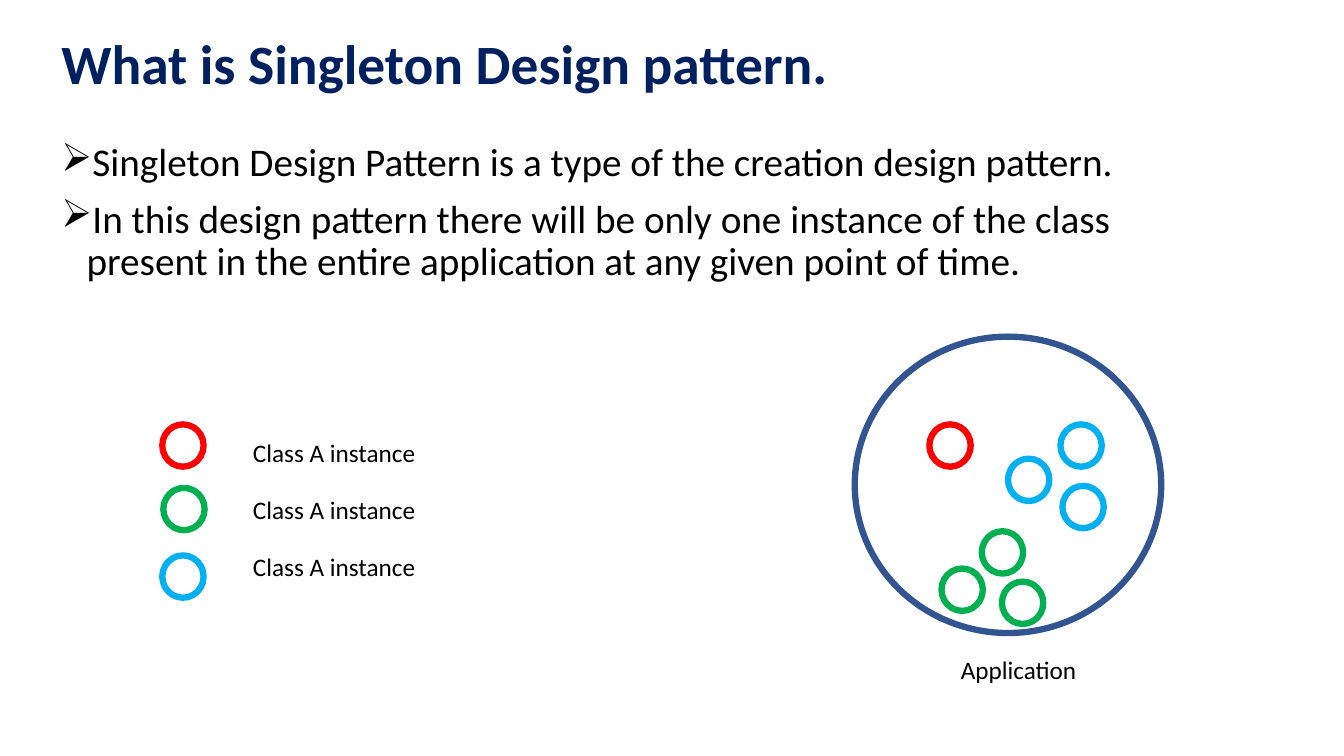
from lxml.etree import SubElement
from pptx import Presentation
from pptx.dml.color import RGBColor
from pptx.enum.shapes import MSO_SHAPE
from pptx.enum.text import MSO_ANCHOR, PP_ALIGN
from pptx.oxml.ns import qn
from pptx.util import Inches, Pt

COLS, ROWS = 80, 45
RED, GREEN, BLUE = "FF0000", "00B050", "00B0F0"


def paint(code):
    return RGBColor.from_string(code)


class Board:
    font = "Calibri"
    ink = "000000"
    pen = 4.5
    dot_size = (2.46, 2.52)

    def __init__(self, deck):
        self.deck = deck
        self.slide = deck.slides.add_slide(deck.slide_layouts[6])

    def place(self, left, top, width, height):
        col, row = self.deck.slide_width / COLS, self.deck.slide_height / ROWS
        return [round(n) for n in (left * col, top * row, width * col, height * row)]

    def text(self, box, lines, size, color=ink, bold=False, anchor=MSO_ANCHOR.TOP,
             bullet=None, **format):
        frame = self.slide.shapes.add_textbox(*self.place(*box)).text_frame
        frame.word_wrap = True
        frame.vertical_anchor = anchor
        frame.text = "\n".join(lines)
        for para in frame.paragraphs:
            for name, value in format.items():
                setattr(para, name, value)
            style = {"name": self.font, "size": Pt(size), "bold": bold}
            for name, value in style.items():
                setattr(para.runs[0].font, name, value)
            para.runs[0].font.color.rgb = paint(color)
            if bullet:
                self.bullet(para, bullet)

    def bullet(self, para, mark):
        props = para._p.get_or_add_pPr()
        props.set("marL", str(Inches(0.25)))
        props.set("indent", str(-Inches(0.25)))
        SubElement(props, qn("a:buChar")).set("char", mark)

    def label(self, box, words):
        self.text(box, [words], 18, alignment=PP_ALIGN.CENTER)

    def ring(self, box, color):
        ring = self.slide.shapes.add_shape(MSO_SHAPE.OVAL, *self.place(*box))
        ring.shadow.inherit = False
        ring.fill.background()
        ring.line.color.rgb = paint(color)
        ring.line.width = Pt(self.pen)

    def dot(self, left, top, color):
        self.ring((left, top, *self.dot_size), color)


def main():
    deck = Presentation()
    deck.slide_width, deck.slide_height = Inches(13.33), Inches(7.5)
    board = Board(deck)

    board.text((3.06, 1.68, 69, 4.5), ["What is Singleton Design pattern."], 39.6,
               "002060", True, MSO_ANCHOR.MIDDLE, line_spacing=0.9)
    board.text((3.06, 8.22, 69, 11.82), [
        "Singleton Design Pattern is a type of the creation design pattern.",
        "In this design pattern there will be only one instance of the class "
        "present in the entire application at any given point of time.",
    ], 28, bullet="➢", line_spacing=0.9, space_before=Pt(10))

    board.ring((50.88, 20.04, 18.24, 17.64), "325491")
    groups = {
        RED: [(55.32, 25.26)],
        GREEN: [(58.44, 31.62), (56.04, 33.84), (59.64, 34.62)],
        BLUE: [(63.12, 25.26), (63.24, 28.92), (60, 27.3)],
    }
    for color, spots in groups.items():
        for left, top in spots:
            board.dot(left, top, color)
    board.label((56.04, 38.64, 9.18, 2.4), "Application")

    legend = [(9.66, 25.26, RED), (9.72, 29.04, GREEN), (9.66, 33.06, BLUE)]
    for row, (left, top, color) in enumerate(legend):
        board.dot(left, top, color)
        board.label((12.84, 25.74 + 3.39 * row, 14.1, 2.4), "Class A instance")

    deck.save("out.pptx")


if __name__ == "__main__":
    main()
